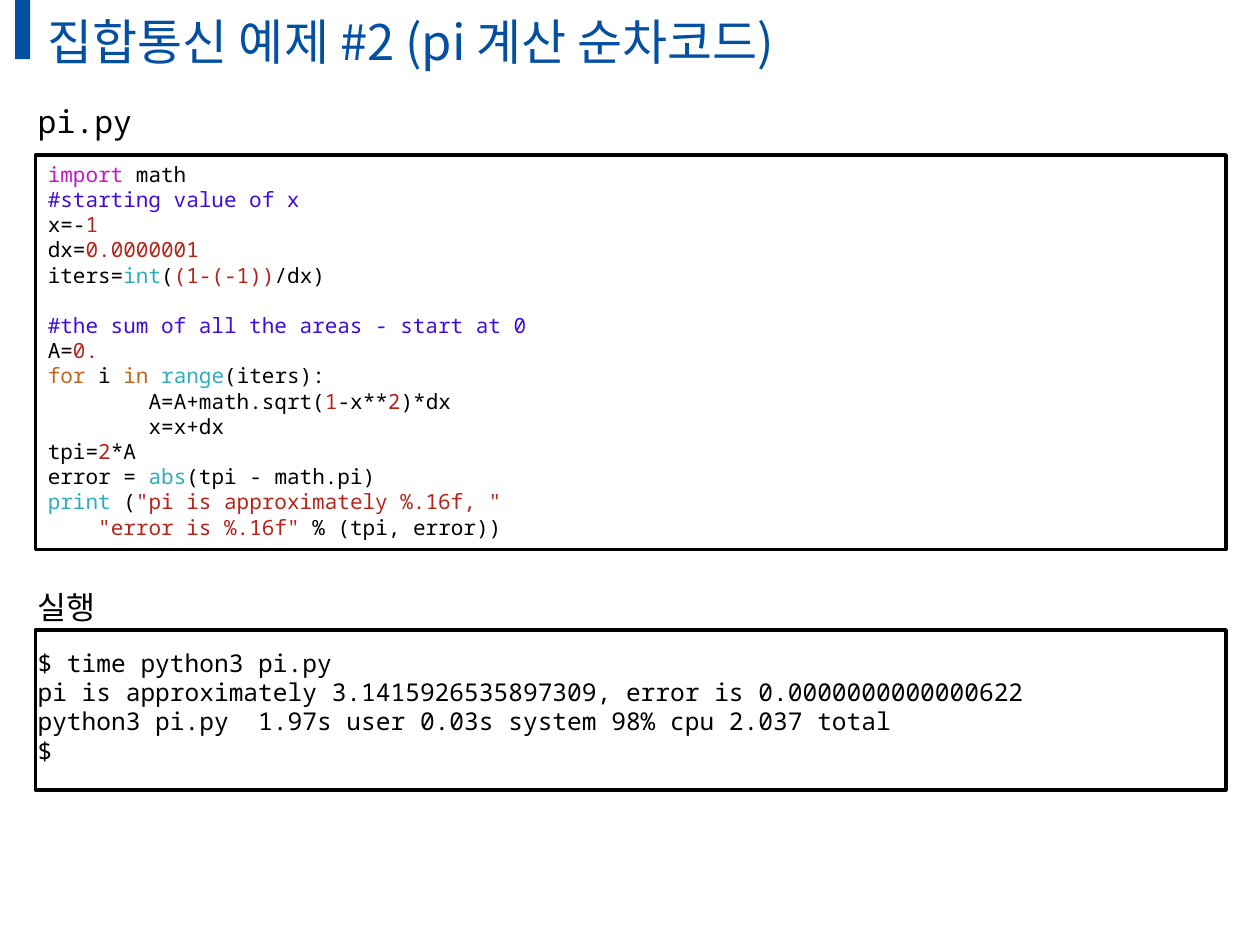
import pptx
import pptx.util
import pptx.dml.color
import pptx.enum.shapes
import pptx.enum.text
import pptx.oxml.ns
import lxml.etree

Pt = pptx.util.Pt
COLORS = {
    "title": "0350A2", "plain": "000000", "paper": "FFFFFF",
    "import": "C814C9", "comment": "400BD9", "literal": "B42419",
    "builtin": "2EAEBB", "keyword": "C1651C",
}
MONO, KOREAN = "Noto Sans Mono", "Noto Sans CJK KR"

# Content
TITLE = "집합통신 예제 #2 (pi 계산 순차코드)"
LABELS = [("pi.py", 54.7, 212), ("실행", 332.6, 51)]  # text, top, width
# Code lines: indent in characters, blank lines before, (text, colour) tokens
CODE = [
    (0, 0, [("import", "import"), (" math", "plain")]),
    (0, 0, [("#starting value of x", "comment")]),
    (0, 0, [("x=-", "plain"), ("1", "literal")]),
    (0, 0, [("dx=", "plain"), ("0.0000001", "literal")]),
    (0, 0, [("iters=", "plain"), ("int", "builtin"), ("(", "plain"),
            ("(1-(-1))", "literal"), ("/dx)", "plain")]),
    (0, 1, [("#the sum of all the areas - start at 0", "comment")]),
    (0, 0, [("A=", "plain"), ("0.", "literal")]),
    (0, 0, [("for ", "keyword"), ("i ", "plain"), ("in ", "keyword"),
            ("range", "builtin"), ("(iters):", "plain")]),
    (8, 0, [("A=A+math.sqrt(", "plain"), ("1", "literal"), ("-x**", "plain"),
            ("2", "literal"), (")*dx", "plain")]),
    (8, 0, [("x=x+dx", "plain")]),
    (0, 0, [("tpi=", "plain"), ("2", "literal"), ("*A", "plain")]),
    (0, 0, [("error = ", "plain"), ("abs", "builtin"),
            ("(tpi - math.pi)", "plain")]),
    (0, 0, [("print", "builtin"), (" (", "plain"),
            ('"pi is approximately %.16f, "', "literal")]),
    (4, 0, [('"error is %.16f"', "literal"), (" % (tpi, error))", "plain")]),
]
OUTPUT = [
    "$ time python3 pi.py",
    "pi is approximately 3.1415926535897309, error is 0.0000000000000622",
    "python3 pi.py  1.97s user 0.03s system 98% cpu 2.037 total",
    "$",
]

# Layout
PANEL_LEFT, PANEL_WIDTH = 20.2, 680.4
TEXT_LEFT = 14.4
CODE_SIZE = 12
CHARACTER_WIDTH, LINE_HEIGHT = 0.6 * CODE_SIZE, 1.2 * CODE_SIZE


def rgb(name):
    return pptx.dml.color.RGBColor.from_string(COLORS[name])


def format_run(run, size, color, latin=MONO):
    run.font.size = Pt(size)
    run.font.name = latin
    run.font.color.rgb = rgb(color)
    east_asian = lxml.etree.SubElement(
        run.font._element, pptx.oxml.ns.qn("a:ea"))
    east_asian.set("typeface", KOREAN)


def add_rectangle(slide, left, top, width, height, fill, line=None):
    shape = slide.shapes.add_shape(
        pptx.enum.shapes.MSO_SHAPE.RECTANGLE,
        Pt(left), Pt(top), Pt(width), Pt(height))
    shape.shadow.inherit = False
    shape.fill.solid()
    shape.fill.fore_color.rgb = rgb(fill)
    if line:
        shape.line.color.rgb = rgb(line)
        shape.line.width = Pt(2)
    else:
        shape.line.fill.background()
    return shape


def add_text(slide, top, width, height, lines, size):
    box = slide.shapes.add_textbox(
        Pt(TEXT_LEFT), Pt(top), Pt(width), Pt(height))
    box.text_frame.word_wrap = False
    box.text_frame.text = "\n".join(lines)
    for paragraph in box.text_frame.paragraphs:
        format_run(paragraph.runs[0], size, "plain")


def fill_code(text_frame):
    text_frame.word_wrap = True
    text_frame.vertical_anchor = pptx.enum.text.MSO_ANCHOR.TOP
    for index, (indent, blanks, tokens) in enumerate(CODE):
        paragraph = (text_frame.add_paragraph() if index
                     else text_frame.paragraphs[0])
        paragraph.alignment = pptx.enum.text.PP_ALIGN.LEFT
        paragraph.space_before = Pt(blanks * LINE_HEIGHT)
        properties = paragraph._p.get_or_add_pPr()
        properties.set("marL", str(int(Pt(indent * CHARACTER_WIDTH))))
        properties.set("indent", "0")
        for text, color in tokens:
            run = paragraph.add_run()
            run.text = text
            format_run(run, CODE_SIZE, color)


def main():
    presentation = pptx.Presentation()
    presentation.slide_width, presentation.slide_height = Pt(720), Pt(540)
    slide = presentation.slides.add_slide(presentation.slide_layouts[5])

    # Title with its accent bar
    add_rectangle(slide, 8.6, 0, 8.6, 33.8, "title")
    title = slide.shapes.title
    title.left, title.top = Pt(PANEL_LEFT), Pt(3.6)
    title.width, title.height = Pt(648), Pt(39.6)
    title.text_frame.text = TITLE
    title.text_frame.vertical_anchor = pptx.enum.text.MSO_ANCHOR.MIDDLE
    heading = title.text_frame.paragraphs[0]
    heading.alignment = pptx.enum.text.PP_ALIGN.LEFT
    format_run(heading.runs[0], 28, "title", KOREAN)

    # Code panel
    panel = add_rectangle(
        slide, PANEL_LEFT, 88.6, PANEL_WIDTH, 225.4, "paper", "plain")
    fill_code(panel.text_frame)

    # Output panel
    add_rectangle(slide, PANEL_LEFT, 360, PANEL_WIDTH, 91.4, "paper", "plain")
    add_text(slide, 366.5, 581, 74.9, OUTPUT, 14)

    # Panel labels
    for text, top, width in LABELS:
        add_text(slide, top, width, 28.8, [text], 18)

    presentation.save("out.pptx")


if __name__ == "__main__":
    main()
